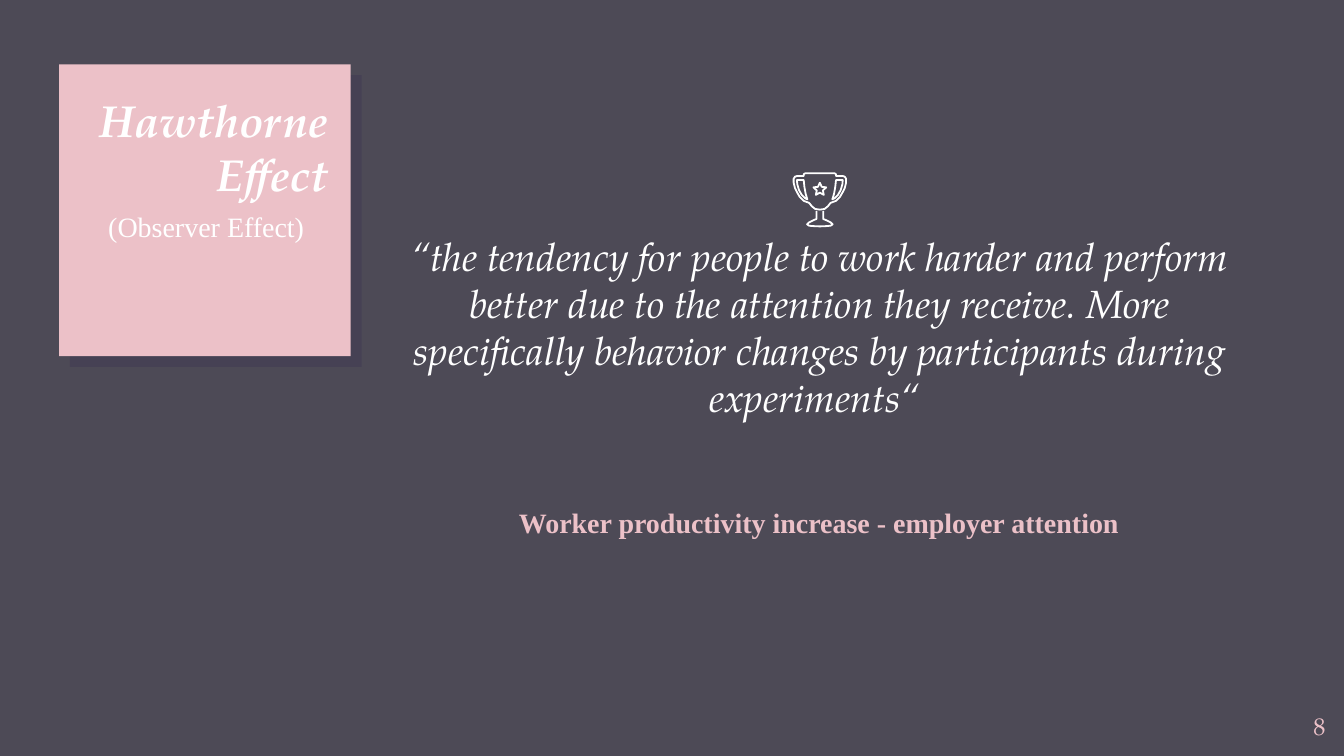
from math import cos, pi, sin

from lxml.etree import SubElement
from pptx import Presentation
from pptx.dml.color import RGBColor
from pptx.enum.shapes import MSO_SHAPE as SHAPE
from pptx.enum.text import PP_ALIGN as ALIGN
from pptx.oxml.ns import qn
from pptx.util import Inches, Pt

SLATE = RGBColor(0x4D, 0x4A, 0x56)
PINK = RGBColor(0xEC, 0xC1, 0xC8)
WHITE = RGBColor(0xFF, 0xFF, 0xFF)
INDIGO = RGBColor(0x20, 0x12, 0x4D)
SERIF = "TeX Gyre Pagella"
ROMAN = "Times New Roman"
CELL = Inches(0.1)

STEM = [(-0.25, 2.8), (-0.25, 3.4), (-0.5, 3.5), (-0.8, 3.65), (-0.95, 3.8),
        (-0.8, 3.9), (-0.5, 3.93), (0, 3.95)]
CUP = [(0, 0), (1.1, 0), (1.2, 0.07), (1.2, 0.2), (1.7, 0.2), (1.85, 0.25),
       (1.95, 0.4), (1.95, 0.7), (1.85, 1.1), (1.7, 1.4), (1.5, 1.75),
       (1.2, 2.05), (0.8, 2.2), (0.6, 2.45), (0.35, 2.65), (0, 2.7)]
HANDLE = [(1.2, 0.5), (1.7, 0.5), (1.68, 0.8), (1.55, 1.25), (1.35, 1.6),
          (1.1, 1.85), (0.93, 1.93), (1.05, 1.55), (1.15, 1)]
STAR = [(r * sin(i * pi / 5), 1.2 - r * cos(i * pi / 5))
        for i, r in enumerate([0.5, 0.24] * 5)]


def flip(points):
    return [(-x, y) for x, y in points]


def symmetric(half):
    return half + flip(half[-2::-1])


class Deck:
    """Slide builder whose lengths are columns and rows of a tenth-inch grid."""

    def __init__(self, cols, rows):
        self.prs = Presentation()
        self.prs.slide_width, self.prs.slide_height = int(cols * CELL), int(rows * CELL)
        self.s = self.prs.slides.add_slide(self.prs.slide_layouts[6])
        fill = self.s.background.fill
        fill.solid()
        fill.fore_color.rgb = SLATE

    def grid(self, *cells):
        return [int(c * CELL) for c in cells]

    def card(self, box):
        sp = self.s.shapes.add_shape(SHAPE.RECTANGLE, *self.grid(*box))
        sp.fill.solid()
        sp.fill.fore_color.rgb = PINK
        sp.line.fill.background()
        sp.shadow.inherit = False
        effects = sp.element.spPr.find(qn("a:effectLst"))
        shadow = SubElement(effects, qn("a:outerShdw"), blurRad="0", dist=str(Pt(8.2)),
                            dir="2700000", algn="bl", rotWithShape="0")
        color = SubElement(shadow, qn("a:srgbClr"), val=str(INDIGO))
        SubElement(color, qn("a:alpha"), val="15000")

    def text(self, box, words, size, font, color, align=ALIGN.CENTER,
             before=0, bold=False, italic=False):
        tf = self.s.shapes.add_textbox(*self.grid(*box)).text_frame
        tf.word_wrap = True
        tf.margin_left = tf.margin_right = tf.margin_top = tf.margin_bottom = CELL
        p = tf.paragraphs[0]
        p.text = words
        p.alignment = align
        p.space_before = Pt(before)
        f = p.font
        f.size, f.name, f.bold, f.italic = Pt(size), font, bold, italic
        f.color.rgb = color

    def icon(self, col, row, *outlines):
        group = self.s.shapes.add_group_shape()
        for contours in outlines:
            builder = None
            for points, closed in contours:
                pts = [self.grid(col + x, row + y) for x, y in points]
                if builder is None:
                    builder = group.shapes.build_freeform(*pts[0])
                else:
                    builder.move_to(*pts[0])
                builder.add_line_segments(pts[1:], close=closed)
            sp = builder.convert_to_shape()
            sp.fill.background()
            sp.line.color.rgb = WHITE
            sp.line.width = Pt(0.96)
            sp.shadow.inherit = False


def main():
    deck = Deck(100, 56.25)
    deck.card((4.4, 4.8, 21.7, 21.7))
    deck.text((93.6, 51.9, 6, 4.3), "8", 13, SERIF, PINK, ALIGN.RIGHT)
    deck.text((35.4, 36.6, 51.1, 8.2), "Worker productivity increase - employer attention",
              15, ROMAN, PINK, before=6, bold=True)
    deck.text((28.5, 16.3, 65, 19.1),
              "“the tendency for people to work harder and perform better due to the "
              "attention they receive. More specifically behavior changes by "
              "participants during experiments“ ",
              21, SERIF, WHITE, before=6, italic=True)
    deck.text((5.3, 5.9, 20.1, 9.4), "Hawthorne Effect", 24, SERIF, WHITE,
              ALIGN.RIGHT, bold=True, italic=True)
    deck.text((5, 14.6, 20.7, 7.4), "(Observer Effect)", 15, ROMAN, WHITE, before=6)
    deck.icon(61, 12.9,
              [(symmetric(STEM), False)],
              [(symmetric(CUP), True), (HANDLE, True), (flip(HANDLE), True), (STAR, True)])
    deck.prs.save("out.pptx")


if __name__ == "__main__":
    main()
